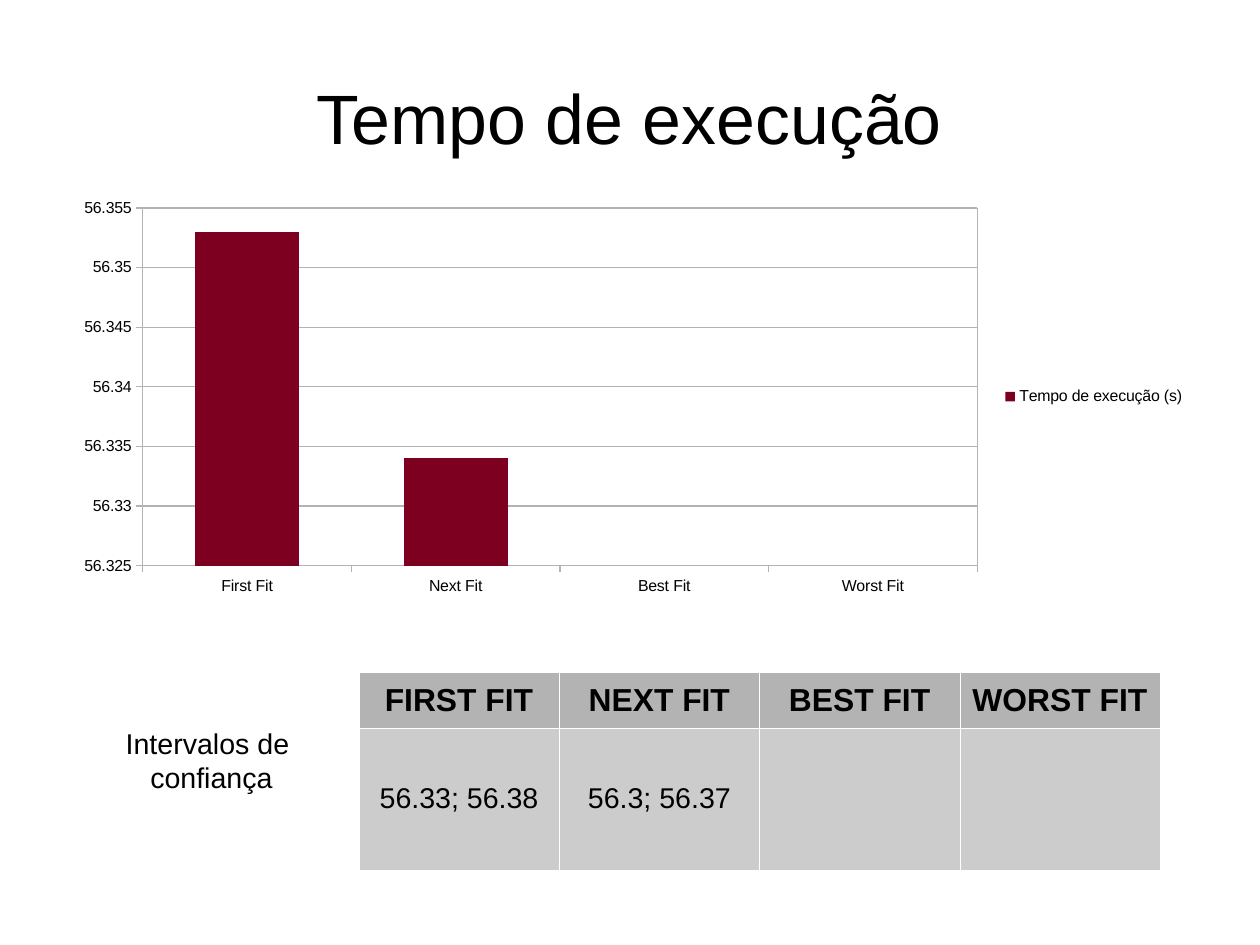
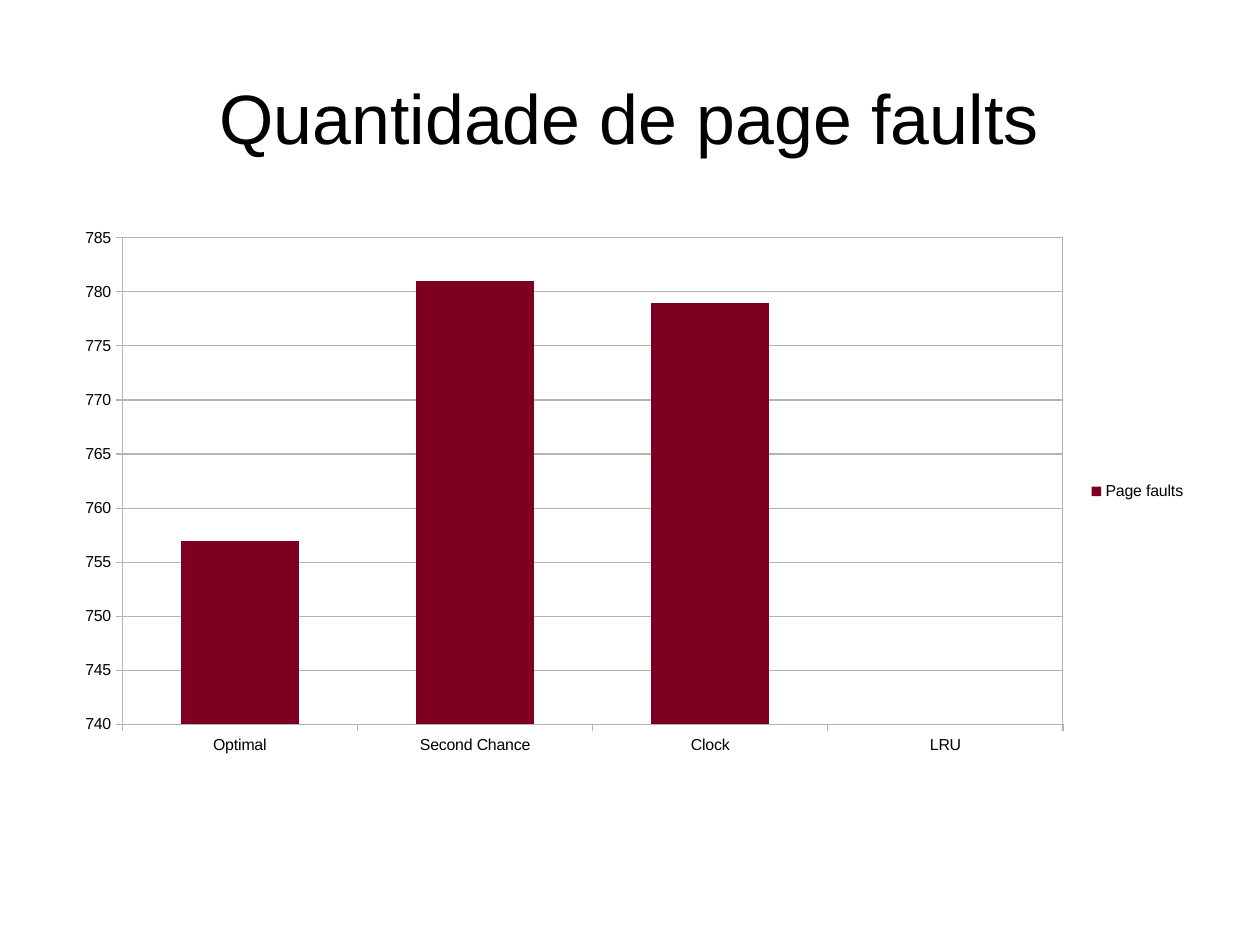
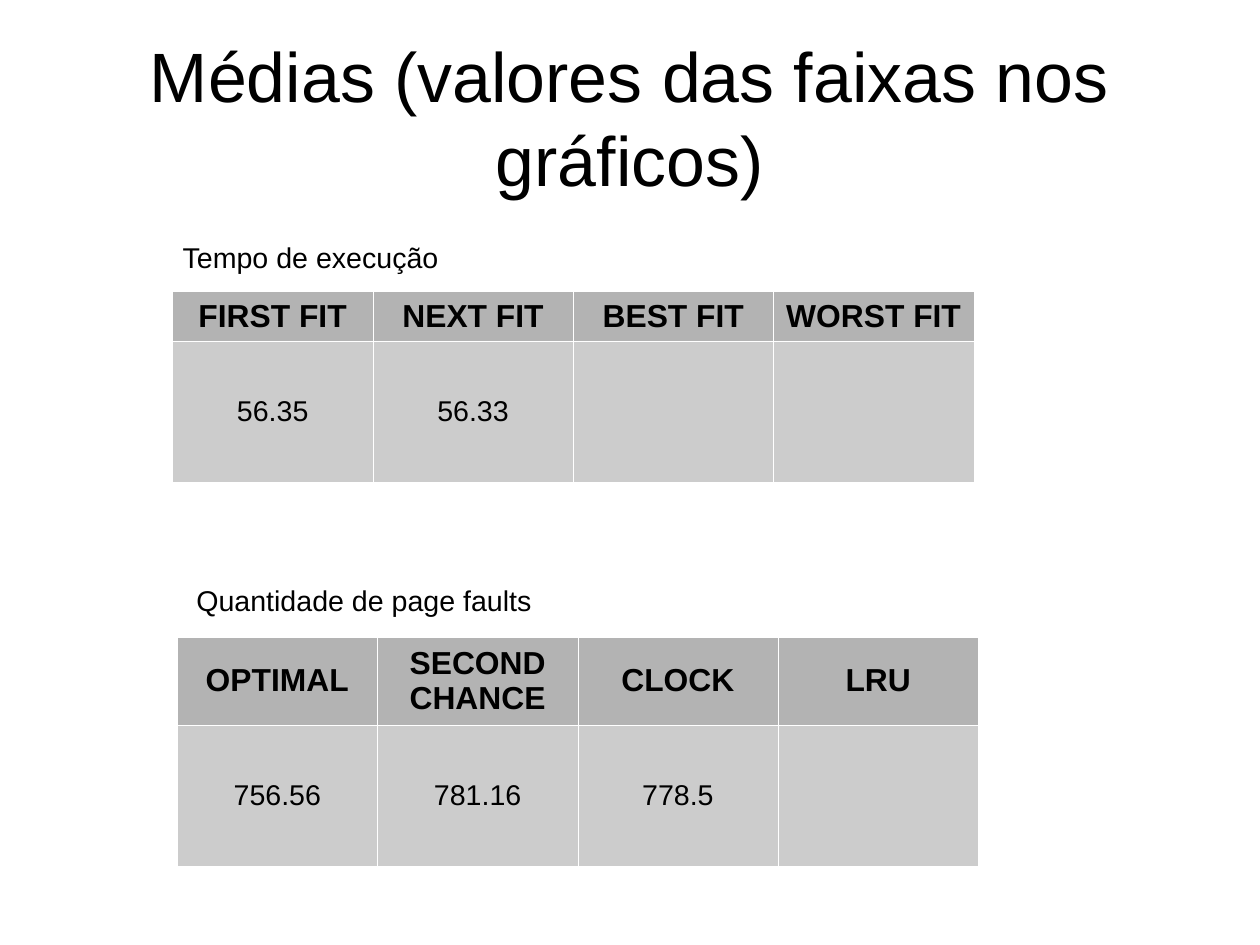
from pptx import Presentation
from pptx.chart.data import CategoryChartData
from pptx.dml.color import RGBColor
from pptx.enum.chart import XL_CHART_TYPE, XL_LEGEND_POSITION, XL_TICK_MARK
from pptx.enum.text import MSO_ANCHOR, MSO_AUTO_SIZE, PP_ALIGN
from pptx.oxml import parse_xml
from pptx.oxml.ns import nsdecls
from pptx.util import Inches, Pt

COLUMN = XL_CHART_TYPE.COLUMN_CLUSTERED
RIGHT = XL_LEGEND_POSITION.RIGHT
OUT = XL_TICK_MARK.OUTSIDE
MIDDLE = MSO_ANCHOR.MIDDLE
TOP = MSO_ANCHOR.TOP
FIXED = MSO_AUTO_SIZE.NONE
LEFT, CENTER = PP_ALIGN.LEFT, PP_ALIGN.CENTER

BLACK = RGBColor(0x00, 0x00, 0x00)
WHITE = RGBColor(0xFF, 0xFF, 0xFF)
WINE = RGBColor(0x7E, 0x00, 0x21)
GRAY = RGBColor(0xB3, 0xB3, 0xB3)
SILVER = RGBColor(0xCC, 0xCC, 0xCC)

# Shared font formats
TITLE = {"name": "Arial", "size": Pt(44), "bold": False}
HEAD = {"name": "Arial", "size": Pt(20), "bold": True}
BODY = {"name": "Arial", "size": Pt(18), "bold": False}
SMALL = {"name": "Arial", "size": Pt(10), "bold": False}

# Slide contents
TITLES = [
    "Tempo de execução",
    "Quantidade de page faults",
    "Médias (valores das faixas nos gráficos)",
]
FITS = ["First Fit", "Next Fit", "Best Fit", "Worst Fit"]
PAGERS = ["Optimal", "Second Chance", "Clock", "LRU"]

# Slide, box, categories, series, values, axis (low, high, step), plot box
CHARTS = [
    (0, (0.54, 1.67, 9.93, 3.6), FITS, "Tempo de execução (s)",
     [56.353, 56.334, None, None], (56.325, 56.355, 0.005),
     (1.25, 1.82, 7.3, 3.13)),
    (1, (0.55, 1.91, 9.93, 4.78), PAGERS, "Page faults",
     [757, 781, 779, None], (740, 785, 5),
     (1.07, 2.08, 8.23, 4.26)),
]

# Slide, left, top, head height, heads, values
TABLES = [
    (0, 3.14, 5.88, 0.49, FITS, ["56.33; 56.38", "56.3; 56.37", "", ""]),
    (2, 1.51, 2.55, 0.43, FITS, ["56.35", "56.33", "", ""]),
    (2, 1.55, 5.57, 0.77, PAGERS, ["756.56", "781.16", "778.5", ""]),
]
WIDTH, DEPTH = 7.01, 1.24

# Slide, box, alignment, lines
LABELS = [
    (0, (0.87, 6.3, 1.89, 0.94), CENTER, ["Intervalos de", " confiança"]),
    (2, (1.5, 2.05, 6.93, 0.38), LEFT, ["Tempo de execução"]),
    (2, (1.62, 5.05, 6.93, 0.38), LEFT, ["Quantidade de page faults"]),
]


def style(font, form):
    for key, value in form.items():
        setattr(font, key, value)
    font.color.rgb = BLACK


def write(frame, lines, form, align, anchor):
    frame.word_wrap = True
    frame.vertical_anchor = anchor
    frame.text = "\n".join(lines)
    for para in frame.paragraphs:
        para.alignment = align
        style(para.font, form)
        for run in para.runs:
            style(run.font, form)


# Page of 28 by 21 centimetres
deck = Presentation()
deck.slide_width, deck.slide_height = Inches(28 / 2.54), Inches(21 / 2.54)

# Titles
slides = []
for text in TITLES:
    slide = deck.slides.add_slide(deck.slide_layouts[5])
    slides.append(slide)
    title = slide.shapes.title
    title.left, title.top = Inches(0.55), Inches(0.33)
    title.width, title.height = Inches(9.92), Inches(1.38)
    frame = title.text_frame
    frame.auto_size = FIXED
    for side in ("left", "top", "right", "bottom"):
        setattr(frame, f"margin_{side}", 0)
    write(frame, [text], TITLE, CENTER, MIDDLE)

# Charts
for index, box, cats, name, vals, (low, high, step), plot in CHARTS:
    data = CategoryChartData()
    data.categories = cats
    data.add_series(name, vals)
    chart = slides[index].shapes.add_chart(
        COLUMN, *[Inches(n) for n in box], data).chart
    chart.has_title = False
    style(chart.font, SMALL)
    chart.has_legend = True
    chart.legend.position = RIGHT
    chart.legend.include_in_layout = False
    style(chart.legend.font, SMALL)

    bars = chart.plots[0]
    bars.gap_width = 100
    bars.vary_by_categories = False
    fill = bars.series[0].format.fill
    fill.solid()
    fill.fore_color.rgb = WINE

    scale = chart.value_axis
    scale.minimum_scale, scale.maximum_scale = low, high
    scale.major_unit = step
    scale.has_major_gridlines = True
    for axis in (chart.category_axis, scale):
        axis.major_tick_mark = OUT
        style(axis.tick_labels.font, SMALL)
    for part in (chart.category_axis, scale, scale.major_gridlines):
        part.format.line.color.rgb = GRAY
        part.format.line.width = Pt(0)

    # Plot frame: place within the chart and outline
    left, top, wide, tall = box
    shares = {
        "x": (plot[0] - left) / wide,
        "y": (plot[1] - top) / tall,
        "w": plot[2] / wide,
        "h": plot[3] / tall,
    }
    sizes = "".join(f'<c:{key} val="{n:.4f}"/>' for key, n in shares.items())
    area = chart.element.find(".//{*}plotArea")
    for old in area.findall("{*}layout"):
        area.remove(old)
    area.insert(0, parse_xml(
        f'<c:layout {nsdecls("c")}><c:manualLayout>'
        '<c:layoutTarget val="inner"/><c:xMode val="edge"/>'
        f'<c:yMode val="edge"/>{sizes}</c:manualLayout></c:layout>'))
    area.append(parse_xml(
        f'<c:spPr {nsdecls("c", "a")}><a:noFill/><a:ln w="0"><a:solidFill>'
        f'<a:srgbClr val="{GRAY}"/></a:solidFill></a:ln></c:spPr>'))

# Tables
for index, left, top, high, heads, vals in TABLES:
    table = slides[index].shapes.add_table(
        2, len(heads), Inches(left), Inches(top),
        Inches(WIDTH), Inches(high + DEPTH)).table
    table.first_row = table.horz_banding = False
    for col in table.columns:
        col.width = Inches(WIDTH / len(heads))
    rows = [
        (high, [head.upper() for head in heads], HEAD, GRAY),
        (DEPTH, vals, BODY, SILVER),
    ]
    for row, (tall, texts, form, color) in zip(table.rows, rows):
        row.height = Inches(tall)
        for cell, text in zip(row.cells, texts):
            write(cell.text_frame, [text], form, CENTER, TOP)
            cell.vertical_anchor = MIDDLE
            cell.fill.solid()
            cell.fill.fore_color.rgb = color
            props = cell._tc.get_or_add_tcPr()
            for spot, edge in enumerate(("lnL", "lnR", "lnT", "lnB")):
                props.insert(spot, parse_xml(
                    f'<a:{edge} {nsdecls("a")} w="720"><a:solidFill>'
                    f'<a:srgbClr val="{WHITE}"/></a:solidFill></a:{edge}>'))

# Labels
for index, box, align, lines in LABELS:
    label = slides[index].shapes.add_textbox(*[Inches(n) for n in box])
    write(label.text_frame, lines, BODY, align, TOP)

deck.save("out.pptx")
